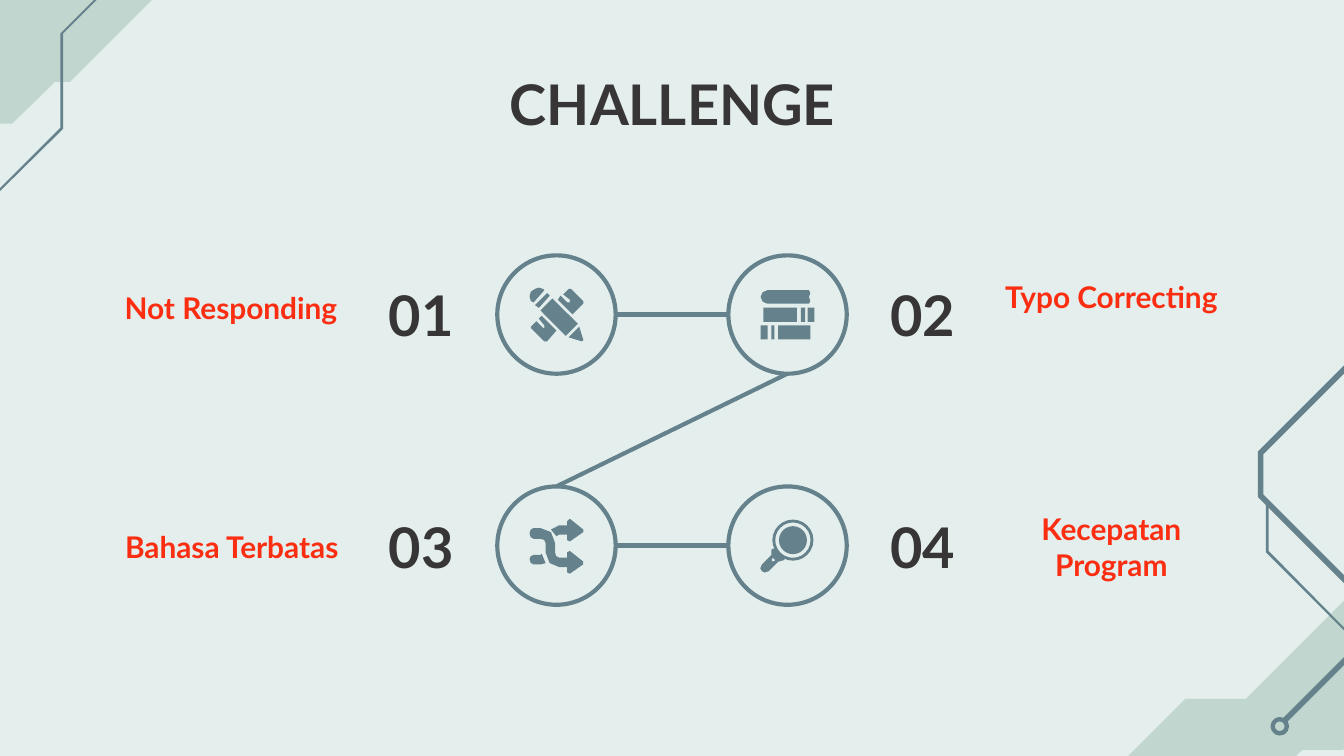
import pptx
import pptx.dml.color
import pptx.enum.shapes
import pptx.enum.text
import pptx.util
import pptx.oxml
import pptx.oxml.ns
from lxml import etree

Pt = pptx.util.Pt
Kind = pptx.enum.shapes.MSO_SHAPE
Anchor = pptx.enum.text.MSO_ANCHOR
TEAL, MINT, PALE, DARK, RED = "64818C", "C1D6CE", "E3EEED", "383536", "FC2E12"
SIZE = 63.4
COLS = (266.4, 390.2)
ROWS = (136.8, 260.6)

CORNER = [
    (MINT, [(85.7, -51.8), (46.8, -13), (11.5, -13), (-67.7, 66.2), (6.5, 66.2),
            (29.5, 43.9), (37.4, 43.9), (133.2, -51.8)]),
    (TEAL, [(87.1, -36.7), (32.4, 18), (32.4, 68.4), (-8.6, 109.4), (-7.9, 110.2),
            (33.8, 69.1), (33.8, 18), (87.8, -36)]),
]
CIRCUIT = [
    (MINT, [(739.4, 302.4), (667.4, 374.4), (635, 374.4), (594, 415.4), (594, 434.2),
            (568.1, 460.1), (638.6, 460.1), (697.7, 401.8), (719.3, 401.8),
            (761.8, 359.3), (761.8, 347.8), (807.1, 302.4)]),
    (TEAL, [(877, 95), (807.1, 164.9), (751, 164.9), (673.9, 241.9), (673.9, 266.4),
            (720.7, 313.2), (720.7, 351.4), (686.2, 385.9), (688.3, 388.1),
            (723.6, 352.8), (723.6, 311.8), (676.8, 265), (676.8, 243.4),
            (752.4, 167.8), (807.8, 167.8), (879.1, 96.5)]),
    (TEAL, [(678.2, 269.3), (678.2, 295.9), (721.4, 339.1), (722.2, 338.4),
            (679.7, 295.2), (679.7, 269.3)]),
]
PENCIL = [
    [(-5, -11.5), (-11.5, -5), (-9.4, -3.6), (-3.6, -10.1)],
    [(7.2, -13.7), (6.5, -13.7), (3.6, -10.8), (7.2, -7.9), (7.2, -6.5), (5.8, -6.5),
     (2.2, -10.1), (0.7, -7.9), (8.6, 0), (14.4, -5.8), (14.4, -7.2), (7.9, -13.7)],
    [(-2.2, -8.6), (-8.6, -2.2), (5, 11.5), (11.5, 5)],
    [(12.2, 6.5), (6.5, 12.2), (13.7, 14.4), (14.4, 13.7)],
    [(-7.9, 0.7), (-9.4, 2.2), (-6.5, 5.8), (-6.5, 7.2), (-7.2, 7.2), (-10.8, 3.6),
     (-13.7, 6.5), (-13.7, 7.2), (-6.5, 14.4), (-5, 14.4), (0, 8.6)],
    [(-9.4, -14.4), (-11.5, -13.7), (-13.7, -12.2), (-14.4, -9.7), (-13.7, -7.2),
     (-12.2, -6.5), (-6.5, -13), (-7.2, -13.7)],
]
BOOK = [(-10.8, -13), (-13.3, -11.9), (-14.4, -9.4), (-13.3, -6.9), (-10.8, -5.8),
        (11.5, -5.8), (12.2, -7.2), (11.5, -9.4), (12.2, -11.5), (11.5, -13)]
SPINES = [(7.2, -3.6, 2.2), (10.8, -3.6, 3.6), (-13, -3.6, 18),
          (-8.6, 5.8, 1.6), (-5, 5.8, 17.2), (-14.4, 5.8, 3.8)]
ARROWS = [
    [(-12.2, -9.4), (-13.8, -8.5), (-14.4, -6.5), (-13.8, -4.5), (-12.2, -3.6),
     (-8.6, -3.6), (-6.5, -3), (-5.8, -1.4), (-5.8, 3.6), (-3.6, 9.4), (1.4, 11.5),
     (5.8, 11.5), (5.8, 14.4), (7.2, 15.1), (14.4, 10.1), (14.4, 8.6), (7.2, 2.9),
     (5.8, 3.6), (5.8, 6.5), (1.4, 6.5), (-0.2, 5.6), (-0.7, 3.6), (-0.7, -1.4),
     (-2.9, -7.2), (-8.6, -9.4)],
    [(-7.9, 4.3), (-8.6, 5), (-12.2, 5), (-13.8, 5.7), (-14.4, 7.2), (-13.8, 9.3),
     (-12.2, 10.1), (-8.6, 10.1), (-5.8, 9.4)],
    [(7.2, -14.4), (5.8, -13), (5.8, -10.8), (1.4, -10.8), (-2.9, -8.6), (0, -5),
     (1.4, -5.8), (5.8, -5.8), (5.8, -2.9), (7.2, -2.2), (14.4, -7.2), (14.4, -8.6)],
]
HANDLE = [(-7.2, 1.4), (-8.6, 2.2), (-8.6, 5), (-13.7, 10.1), (-14.6, 12.2),
          (-13.7, 13.7), (-12.2, 14.4), (-10.1, 13.7), (-5, 8.6), (-2.2, 7.9), (-1.4, 7.2)]
HOLE = [(-7.9, 6.5), (-6.5, 7.9), (-7.9, 8.6), (-8.6, 7.9)]


def tint(code):
    return pptx.dml.color.RGBColor.from_string(code)


def paint(shape, code):
    shape.shadow.inherit = False
    shape.fill.solid()
    shape.fill.fore_color.rgb = tint(code)
    shape.line.fill.background()


def trace(shapes, code, *rings, mid=(0, 0)):
    pen = None
    for ring in rings:
        spots = [(Pt(mid[0] + x), Pt(mid[1] + y)) for x, y in ring]
        if pen is None:
            pen = shapes.build_freeform(*spots[0], scale=1.0)
        else:
            pen.move_to(*spots[0])
        pen.add_line_segments(spots[1:], close=True)
    paint(pen.convert_to_shape(), code)


def solid(shapes, kind, x, y, wide, high, rim=None):
    shape = shapes.add_shape(kind, Pt(x), Pt(y), Pt(wide), Pt(high))
    if rim:
        shape.adjustments[0] = rim
    paint(shape, TEAL)


def circle(shapes, x, y):
    shape = shapes.add_shape(Kind.OVAL, Pt(x), Pt(y), Pt(SIZE), Pt(SIZE))
    shape.shadow.inherit = False
    shape.fill.background()
    shape.line.color.rgb = tint(TEAL)
    shape.line.width = Pt(2.25)


def link(shapes, *ends):
    line = shapes.add_connector(pptx.enum.shapes.MSO_CONNECTOR.STRAIGHT, *map(Pt, ends))
    line.line.color.rgb = tint(TEAL)
    line.line.width = Pt(2.25)
    etree.SubElement(line._element.spPr, pptx.oxml.ns.qn("a:effectLst"))


def write(shape, text, box, size, code, anchor=Anchor.MIDDLE):
    shape.left, shape.top, shape.width, shape.height = map(Pt, box)
    frame = shape.text_frame
    frame.text = text
    frame.word_wrap = True
    frame.auto_size = pptx.enum.text.MSO_AUTO_SIZE.NONE
    frame.vertical_anchor = anchor
    frame.margin_left = frame.margin_right = Pt(7.2)
    frame.margin_top = frame.margin_bottom = Pt(7.2)
    para = frame.paragraphs[0]
    para.alignment = pptx.enum.text.PP_ALIGN.CENTER
    para.space_before = Pt(0)
    para.line_spacing = 1.0
    props = para._p.get_or_add_pPr()
    props.set("marL", "0")
    props.set("indent", "0")
    etree.SubElement(props, pptx.oxml.ns.qn("a:buNone"))
    font = para.runs[0].font
    font.name, font.size, font.bold = "Lato", Pt(size), True
    font.color.rgb = tint(code)


def decor(shapes):
    for part in (CORNER, CIRCUIT):
        group = shapes.add_group_shape().shapes
        for code, ring in part:
            trace(group, code, ring)
    solid(group, Kind.DONUT, 680.6, 384.1, 10, 10, 0.24)


def icons(shapes):
    left, right = (x + SIZE / 2 for x in COLS)
    top, low = (y + SIZE / 2 for y in ROWS)
    for rings, mid in ((PENCIL, (left, top)), (ARROWS, (left, low))):
        group = shapes.add_group_shape().shapes
        for ring in rings:
            trace(group, TEAL, ring, mid=mid)
    books = shapes.add_group_shape().shapes
    trace(books, TEAL, BOOK, mid=(right, top))
    for x, y, wide in SPINES:
        solid(books, Kind.RECTANGLE, right + x, top + y, wide, 7.6)
    lens = shapes.add_group_shape().shapes
    trace(lens, TEAL, HANDLE, HOLE, mid=(right, low))
    solid(lens, Kind.DONUT, right - 8.1, low - 13.9, 22, 22, 0.07)
    solid(lens, Kind.OVAL, right - 4.6, low - 10.4, 15, 15)


def main():
    deck = pptx.Presentation()
    deck.slide_width, deck.slide_height = Pt(720), Pt(405)
    slide = deck.slides.add_slide(deck.slide_layouts.get_by_name("Comparison"))
    slide.background.fill.solid()
    slide.background.fill.fore_color.rgb = tint(PALE)
    shapes = slide.shapes
    decor(shapes)
    write(shapes.title, "CHALLENGE", (56.9, 30.2, 607, 46.8), 30, DARK, Anchor.TOP)

    labels = [("Not Responding", 59, 123.1), ("Typo Correcting", 530.6, 117.4),
              ("Bahasa Terbatas", 59.4, 251.3), ("Kecepatan Program", 530.6, 251.3)]
    for spot, (text, x, y) in enumerate(labels):
        write(slide.placeholders[spot + 1], text, (x, y, 129.6, 82.8), 16, RED)
        row, col = divmod(spot, 2)
        circle(shapes, COLS[col], ROWS[row])
        box = shapes.add_textbox(0, 0, 0, 0)
        write(box, f"0{spot + 1}", ((191.5, 460.1)[col], ROWS[row], 68.4, SIZE), 30, DARK)

    half = SIZE / 2
    for y in ROWS:
        link(shapes, COLS[0] + SIZE, y + half, COLS[1], y + half)
    link(shapes, COLS[1] + half, ROWS[0] + SIZE, COLS[0] + half, ROWS[1])
    icons(shapes)
    deck.save("out.pptx")


if __name__ == "__main__":
    main()
